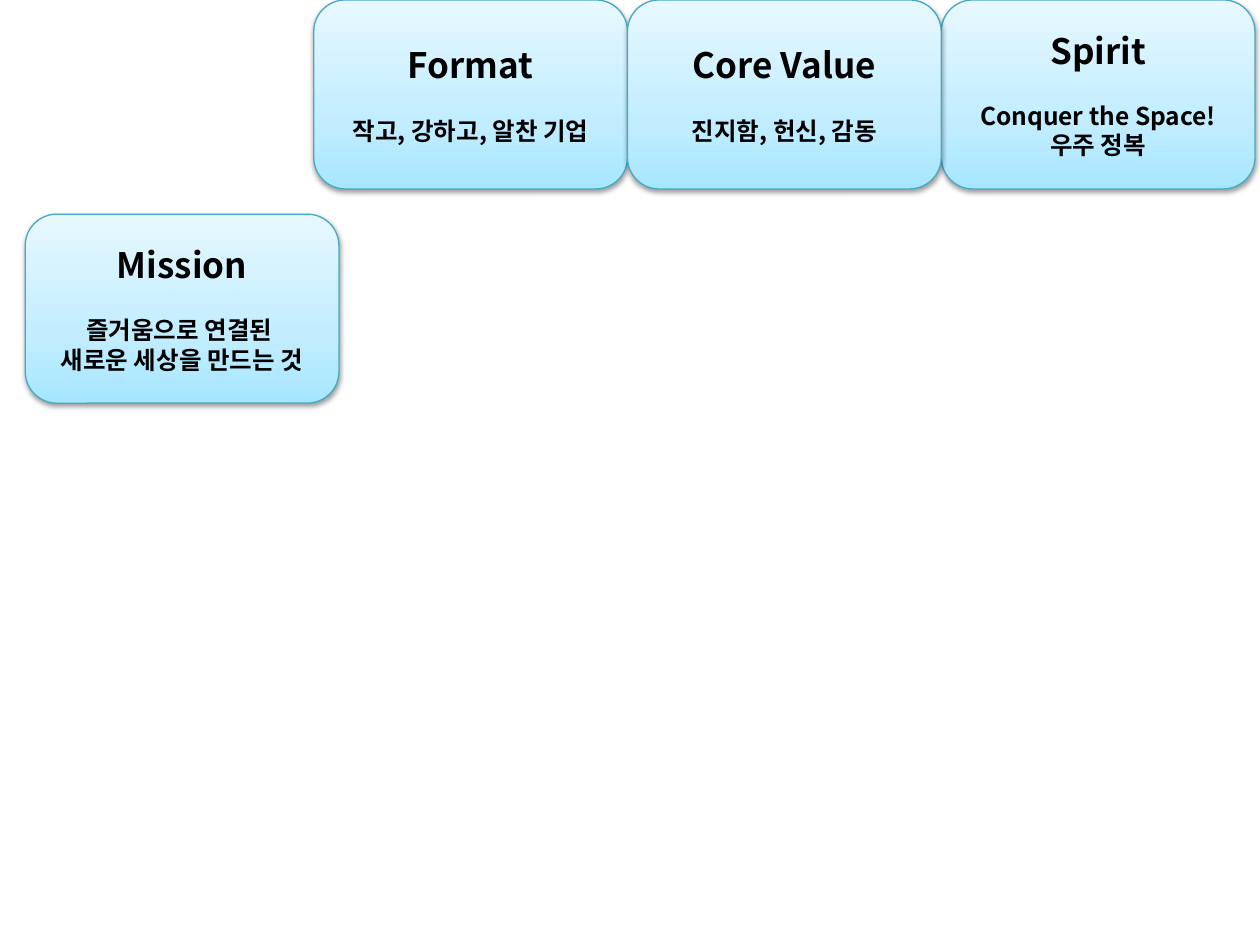
from lxml.etree import SubElement
from pptx import Presentation
from pptx.dml.color import RGBColor
from pptx.enum.shapes import MSO_SHAPE as Shape
from pptx.enum.text import MSO_ANCHOR as Anchor, PP_ALIGN as Align
from pptx.oxml import parse_xml
from pptx.oxml.ns import nsdecls, qn
from pptx.util import Inches, Pt

BORDER = RGBColor(0x46, 0xAA, 0xC5)
INK = RGBColor(0x00, 0x00, 0x00)
GRADIENT = [(0, RGBColor(0xA7, 0xE6, 0xFF)),
            (35, RGBColor(0xC1, 0xED, 0xFF)),
            (100, RGBColor(0xE7, 0xF8, 0xFF))]
FONT = "Noto Sans CJK KR"

# Card grid
COLUMN, ROW = Inches(2.49), Inches(1.5)
MISSION_LEFT, MISSION_TOP = Inches(0.2), Inches(1.7)

# Heading, body lines, left, top
CARDS = [
    ("Spirit", ["Conquer the Space!", "우주 정복"], 3 * COLUMN, 0),
    ("Mission", ["즐거움으로 연결된 ", "새로운 세상을 만드는 것"], MISSION_LEFT, MISSION_TOP),
    ("Format", ["작고, 강하고, 알찬 기업"], COLUMN, 0),
    ("Core Value", ["진지함, 헌신, 감동"], 2 * COLUMN, 0),
]


def paint(card):
    """Give a card its vertical gradient, border and soft shadow."""
    stops = "".join(f'<a:gs pos="{share * 1000}"><a:srgbClr val="{color}"/></a:gs>'
                    for share, color in GRADIENT)
    properties = card._element.spPr
    properties.append(parse_xml(
        f'<a:gradFill {nsdecls("a")} rotWithShape="1"><a:gsLst>{stops}</a:gsLst>'
        '<a:lin ang="16200000" scaled="0"/></a:gradFill>'))
    card.line.color.rgb = BORDER
    card.line.width = Pt(0.75)
    card.shadow.inherit = False
    properties.find(qn("a:effectLst")).append(parse_xml(
        f'<a:outerShdw {nsdecls("a")} blurRad="{Pt(3.1)}" dist="{Pt(1.6)}" dir="5400000" '
        'rotWithShape="0"><a:srgbClr val="000000"><a:alpha val="38000"/></a:srgbClr>'
        '</a:outerShdw>'))


def write(paragraph, text, size):
    """Fill a paragraph with centred bold text, Latin and Korean alike."""
    paragraph.text = text
    paragraph.alignment = Align.CENTER
    font = paragraph.font
    font.name, font.size, font.bold = FONT, Pt(size), True
    font.color.rgb = INK
    SubElement(paragraph._p.pPr.find(qn("a:defRPr")), qn("a:ea"), typeface=FONT)


deck = Presentation()
deck.slide_width, deck.slide_height = Inches(10), Inches(7.5)
slide = deck.slides.add_slide(deck.slide_layouts[6])

# Company value cards
for heading, body, left, top in CARDS:
    card = slide.shapes.add_shape(Shape.ROUNDED_RECTANGLE, left, top, COLUMN, ROW)
    paint(card)
    frame = card.text_frame
    frame.word_wrap = True
    frame.vertical_anchor = Anchor.MIDDLE
    write(frame.paragraphs[0], heading, 20)
    for index, line in enumerate(body):
        paragraph = frame.add_paragraph()
        write(paragraph, line, 14)
        if index == 0:
            paragraph.space_before = Pt(17)

deck.save("out.pptx")
